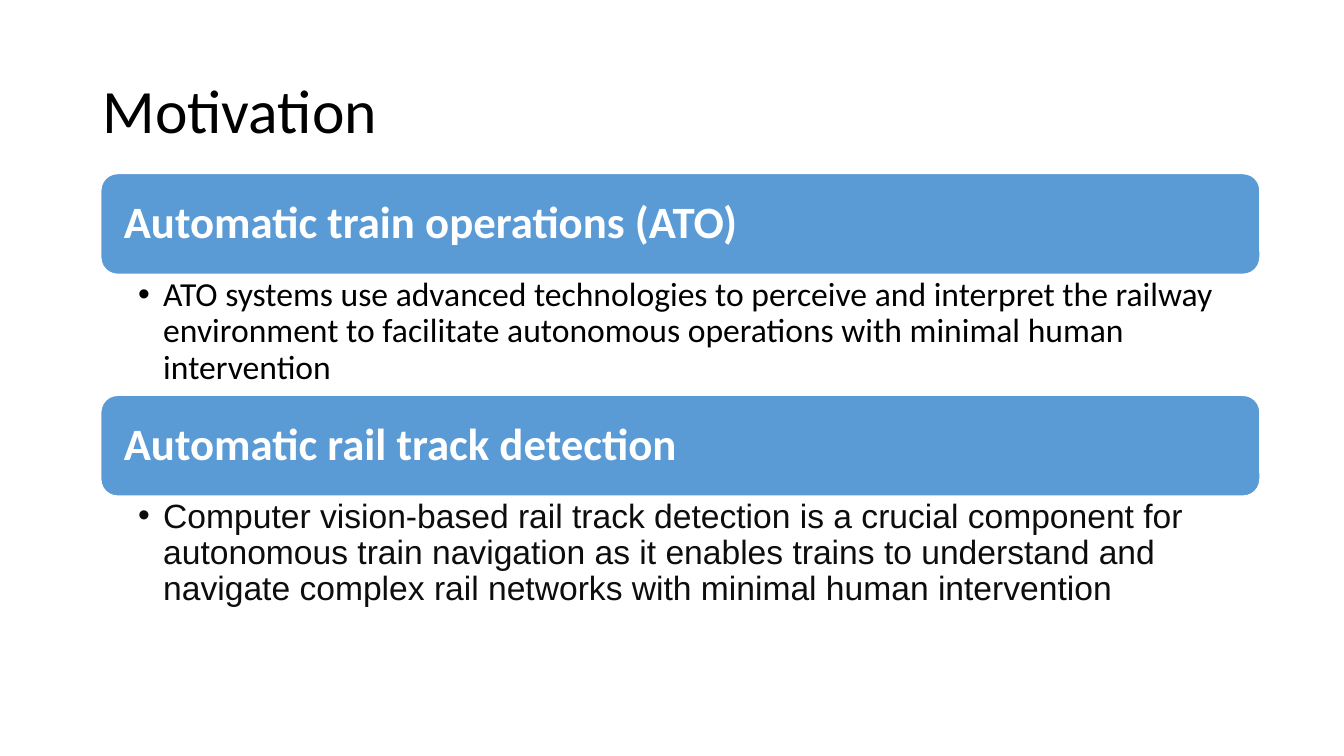
from lxml.etree import SubElement
from pptx import Presentation
from pptx.dml.color import RGBColor
from pptx.enum.shapes import MSO_SHAPE
from pptx.enum.text import MSO_ANCHOR, MSO_AUTO_SIZE, PP_ALIGN
from pptx.oxml.ns import qn
from pptx.util import Pt

TITLE = "Motivation"
SECTIONS = [
    ("Automatic train operations (ATO)",
     "ATO systems use advanced technologies to perceive and interpret the railway "
     "environment to facilitate autonomous operations with minimal human intervention",
     "Calibri", "000000"),
    ("Automatic rail track detection",
     "Computer vision-based rail track detection is a crucial component for "
     "autonomous train navigation as it enables trains to understand and navigate "
     "complex rail networks with minimal human intervention",
     "Arial", "0D0D0D"),
]
LEFT, TOP, WIDTH = 72, 124, 828
BANNER_H, BODY_H = 72, 86
STEP = BANNER_H + BODY_H + 0.4


def color(value):
    return RGBColor.from_string(value)


def place(sp, x, y, w, h):
    sp.left, sp.top, sp.width, sp.height = Pt(x), Pt(y), Pt(w), Pt(h)


def write(sp, text, size, fill, font="Calibri", bold=False, bullet=False,
          anchor=MSO_ANCHOR.MIDDLE, insets=(7.2, 3.6, 7.2, 3.6)):
    tf = sp.text_frame
    tf.word_wrap = True
    tf.auto_size = MSO_AUTO_SIZE.NONE
    tf.vertical_anchor = anchor
    tf.margin_left, tf.margin_top, tf.margin_right, tf.margin_bottom = map(Pt, insets)
    p = tf.paragraphs[0]
    p.alignment = PP_ALIGN.LEFT
    p.line_spacing = 0.9
    p.space_before = Pt(0)
    if bullet:
        pPr = p._p.get_or_add_pPr()
        pPr.set("marL", str(Pt(18)))
        pPr.set("indent", str(-Pt(18)))
        SubElement(pPr, qn("a:buFont"), typeface="Arial")
        SubElement(pPr, qn("a:buChar"), char="•")
    r = p.add_run()
    r.text = text
    r.font.name = font
    r.font.size = Pt(size)
    r.font.bold = bold
    r.font.color.rgb = color(fill)


def add_banner(s, text, y):
    sp = s.shapes.add_shape(MSO_SHAPE.ROUNDED_RECTANGLE,
                            Pt(LEFT), Pt(y), Pt(WIDTH), Pt(BANNER_H))
    sp.shadow.inherit = False
    sp.fill.solid()
    sp.fill.fore_color.rgb = color("5B9BD5")
    sp.line.color.rgb = color("FFFFFF")
    sp.line.width = Pt(1)
    write(sp, text, 32, "FFFFFF", bold=True, insets=(13, 9, 13, 9))


def main():
    prs = Presentation()
    prs.slide_width, prs.slide_height = Pt(960), Pt(540)
    s = prs.slides.add_slide(prs.slide_layouts.get_by_name("Two Content"))
    title, *bodies = s.placeholders
    place(title, 66, 28.8, WIDTH, 104.4)
    write(title, TITLE, 44, "000000")
    for i, (body, (heading, text, font, fill)) in enumerate(zip(bodies, SECTIONS)):
        y = TOP + i * STEP
        add_banner(s, heading, y)
        place(body, LEFT, y + BANNER_H, WIDTH, BODY_H)
        write(body, text, 24, fill, font, bullet=True,
              anchor=MSO_ANCHOR.TOP, insets=(26.6, 2.2, 13.7, 2.2))
    for sp in bodies[len(SECTIONS):]:
        sp.element.getparent().remove(sp.element)
    prs.save("out.pptx")


if __name__ == "__main__":
    main()
